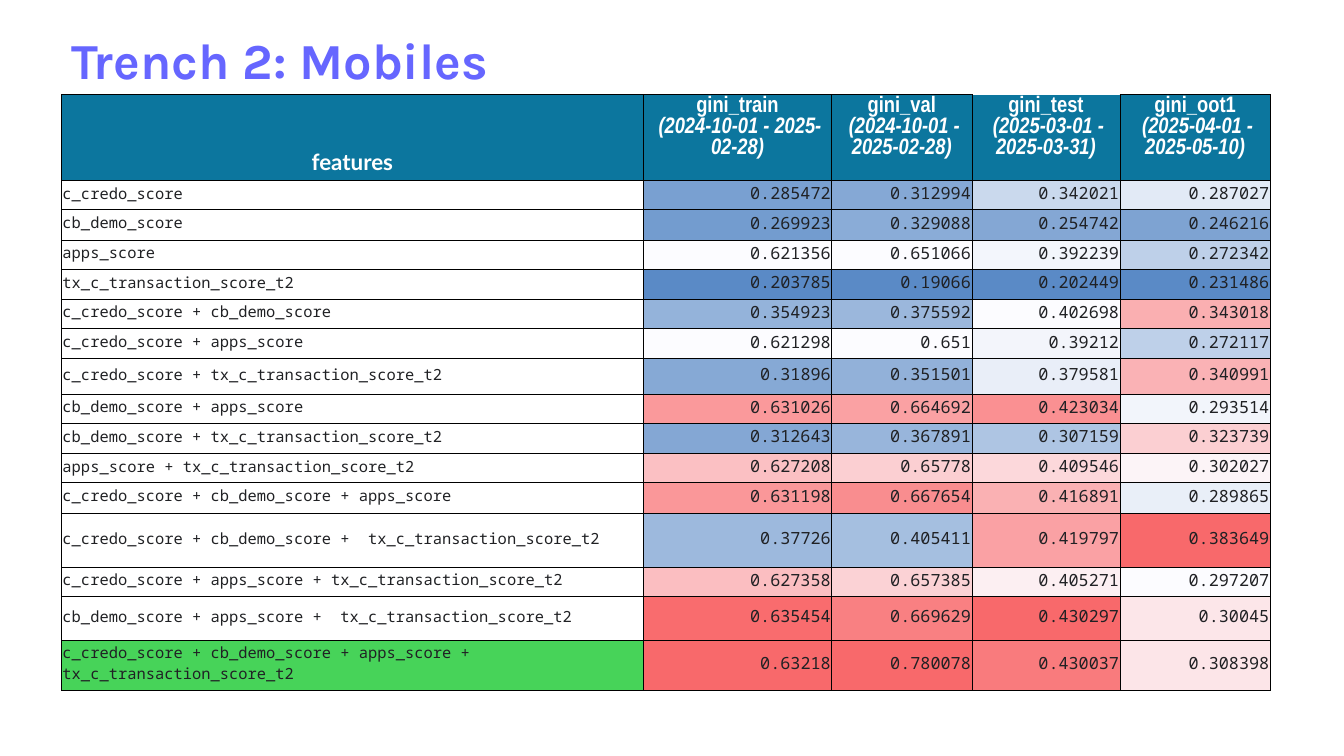
"""Build the slide comparing gini scores of feature sets for Trench 2: Mobiles."""
from copy import deepcopy

from lxml import etree
from pptx import Presentation
from pptx.dml.color import RGBColor
from pptx.enum import text
from pptx.oxml import ns
from pptx.util import Inches, Pt

THEME = {
    "title": {"name": "Karla", "size": 36, "bold": True, "color": "6666FF"},
    "features": {"name": "Lato", "size": 16, "bold": True, "color": "FFFFFF"},
    "metric": {"name": "Arial Narrow", "size": 16, "bold": True, "color": "FFFFFF"},
    "period": {"name": "Arial Narrow", "size": 16, "bold": True, "italic": True, "color": "FFFFFF"},
    "formula": {"name": "Noto Sans Mono", "size": 11, "bold": False, "color": "202124"},
    "score": {"name": "Noto Sans Mono", "size": 12, "bold": False, "color": "202124"},
    "header_fill": "0C769E",
    "plain_fill": "FFFFFF",
    "best_fill": "47D359",
    "border": "000000",
    "border_width": 0.5,
}

COLUMN_WIDTHS = [5.77, 1.87, 1.39, 1.47, 1.49]
ROW_HEIGHTS = [0.85, 0.29, 0.3, 0.29, 0.3, 0.29, 0.3, 0.35,
               0.29, 0.3, 0.29, 0.3, 0.54, 0.29, 0.43, 0.5]
METRICS = [
    ("gini_train", "(2024-10-01 - 2025-02-28)"),
    ("gini_val", "(2024-10-01 - 2025-02-28)"),
    ("gini_test", "(2025-03-01 - 2025-03-31)"),
    ("gini_oot1", "(2025-04-01 - 2025-05-10)"),
]
RESULTS = [
    ("c_credo_score",
     "0.285472 0.312994 0.342021 0.287027", "79A0D1 85A8D5 CAD9ED E2EAF6"),
    ("cb_demo_score",
     "0.269923 0.329088 0.254742 0.246216", "739CCF 8AACD7 84A7D4 7EA3D2"),
    ("apps_score",
     "0.621356 0.651066 0.392239 0.272342", "FCFCFF FCFCFF F3F6FC BED0E9"),
    ("tx_c_transaction_score_t2",
     "0.203785 0.19066 0.202449 0.231486", "5A8AC6 5A8AC6 5A8AC6 5A8AC6"),
    ("c_credo_score + cb_demo_score",
     "0.354923 0.375592 0.402698 0.343018", "94B3DA 9BB7DC FCFCFF FAAFB1"),
    ("c_credo_score + apps_score",
     "0.621298 0.651 0.39212 0.272117", "FCFCFF FCFCFF F3F5FB BED0E9"),
    ("c_credo_score + tx_c_transaction_score_t2",
     "0.31896 0.351501 0.379581 0.340991", "86A9D5 92B1D9 E9EEF8 FAB2B5"),
    ("cb_demo_score + apps_score",
     "0.631026 0.664692 0.423034 0.293514", "FA999B FAA1A3 FA9092 F2F5FB"),
    ("cb_demo_score + tx_c_transaction_score_t2",
     "0.312643 0.367891 0.307159 0.323739", "84A7D4 98B5DB AEC5E3 FBCFD2"),
    ("apps_score + tx_c_transaction_score_t2",
     "0.627208 0.65778 0.409546 0.302027", "FBC0C3 FBCFD2 FCD8DB FCF4F7"),
    ("c_credo_score + cb_demo_score + apps_score",
     "0.631198 0.667654 0.416891 0.289865", "FA9799 F98D8F FAB1B3 E9EFF8"),
    ("c_credo_score + cb_demo_score +  tx_c_transaction_score_t2",
     "0.37726 0.405411 0.419797 0.383649", "9DB9DD A5BFE0 FAA1A4 F8696B"),
    ("c_credo_score + apps_score + tx_c_transaction_score_t2",
     "0.627358 0.657385 0.405271 0.297207", "FBBEC1 FBD2D5 FCEFF2 FCFCFF"),
    ("cb_demo_score + apps_score +  tx_c_transaction_score_t2",
     "0.635454 0.669629 0.430297 0.30045", "F96C6E F98082 F8696B FCE6E9"),
    ("c_credo_score + cb_demo_score + apps_score + tx_c_transaction_score_t2",
     "0.63218 0.780078 0.430037 0.308398", "F8696B F8696B F97B7D FCE5E8"),
]


def add_run(paragraph, content, style):
    """Append a run formatted with one of the theme's text styles."""
    run = paragraph.add_run()
    run.text = content
    for attribute, value in THEME[style].items():
        if attribute == "color":
            run.font.color.rgb = RGBColor.from_string(value)
        else:
            setattr(run.font, attribute, Pt(value) if attribute == "size" else value)
    return run


def format_cell(cell, fill, anchor, alignment, top_border=True):
    """Set a cell's margins, borders and fill, and return its paragraph."""
    margins = {"margin_left": 0.01, "margin_top": 0.01, "margin_right": 0.01, "margin_bottom": 0.05}
    for attribute, value in margins.items():
        setattr(cell, attribute, Inches(value))
    cell.vertical_anchor = anchor
    properties = cell._tc.get_or_add_tcPr()
    for side in ("lnL", "lnR", "lnT", "lnB"):
        if side == "lnT" and not top_border:
            continue
        line = etree.SubElement(properties, ns.qn(f"a:{side}"), w=str(Pt(THEME["border_width"])))
        line_fill = etree.SubElement(line, ns.qn("a:solidFill"))
        etree.SubElement(line_fill, ns.qn("a:srgbClr"), val=THEME["border"])
    cell.fill.solid()
    cell.fill.fore_color.rgb = RGBColor.from_string(fill)
    paragraph = cell.text_frame.paragraphs[0]
    paragraph.alignment = alignment
    return paragraph


presentation = Presentation()
presentation.slide_width = Inches(13.33)
presentation.slide_height = Inches(7.5)
slide = presentation.slides.add_slide(presentation.slide_layouts[6])

table = slide.shapes.add_table(
    len(ROW_HEIGHTS), len(COLUMN_WIDTHS), Inches(0.61), Inches(0.94),
    Inches(sum(COLUMN_WIDTHS)), Inches(sum(ROW_HEIGHTS))).table
table.first_row = False
table.horz_banding = False
for column, width in zip(table.columns, COLUMN_WIDTHS):
    column.width = Inches(width)
for row, height in zip(table.rows, ROW_HEIGHTS):
    row.height = Inches(height)

paragraph = format_cell(table.cell(0, 0), THEME["header_fill"],
                        text.MSO_ANCHOR.BOTTOM, text.PP_ALIGN.CENTER)
add_run(paragraph, "features", "features")
for column_index, (metric, period) in enumerate(METRICS, start=1):
    paragraph = format_cell(table.cell(0, column_index), THEME["header_fill"],
                            text.MSO_ANCHOR.TOP, text.PP_ALIGN.CENTER, metric != "gini_test")
    metric_run = add_run(paragraph, metric, "metric")
    paragraph.add_line_break()
    paragraph._p.find(ns.qn("a:br")).append(deepcopy(metric_run._r.rPr))
    add_run(paragraph, f" {period}", "period")

for row_index, (formula, scores, fills) in enumerate(RESULTS, start=1):
    formula_fill = THEME["best_fill" if row_index == len(RESULTS) else "plain_fill"]
    paragraph = format_cell(table.cell(row_index, 0), formula_fill,
                            text.MSO_ANCHOR.MIDDLE, text.PP_ALIGN.LEFT)
    add_run(paragraph, formula, "formula")
    for column_index, (score, fill) in enumerate(zip(scores.split(), fills.split()), start=1):
        paragraph = format_cell(table.cell(row_index, column_index), fill,
                                text.MSO_ANCHOR.MIDDLE, text.PP_ALIGN.RIGHT)
        add_run(paragraph, score, "score")

title = slide.shapes.add_textbox(Inches(0.61), Inches(0.24), Inches(8.35), Inches(0.71))
title.text_frame.word_wrap = True
add_run(title.text_frame.paragraphs[0], "Trench 2: Mobiles", "title")

presentation.save("out.pptx")
